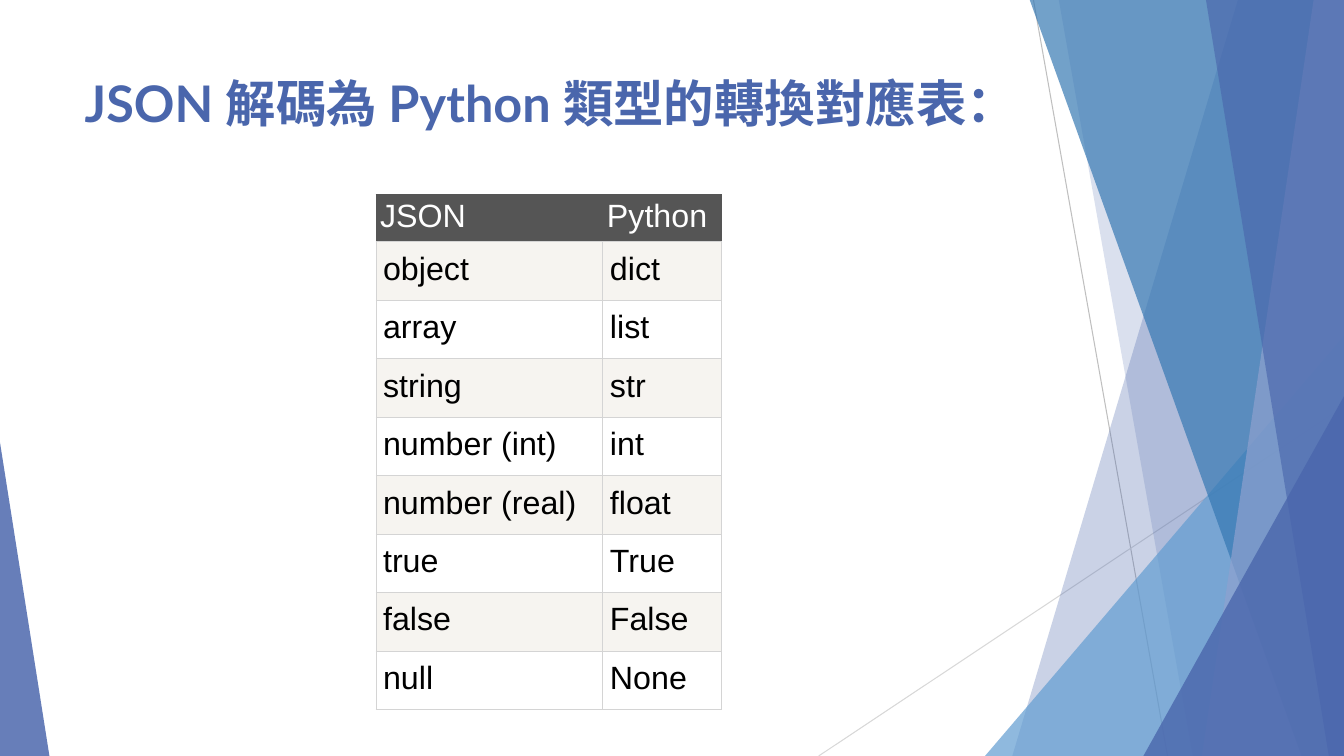
from dataclasses import dataclass

from lxml import etree
from pptx import Presentation
from pptx.dml.color import RGBColor
from pptx.enum.shapes import MSO_CONNECTOR, MSO_SHAPE
from pptx.enum.text import MSO_ANCHOR, MSO_AUTO_SIZE, PP_ALIGN
from pptx.oxml.ns import qn
from pptx.util import Pt

PX = 9144  # 100 px to the inch
WIDTH, HEIGHT = 1333, 750
TITLE_ONLY = 5
STRAIGHT = MSO_CONNECTOR.STRAIGHT
TRIANGLE = MSO_SHAPE.ISOSCELES_TRIANGLE
TOP, LEFT = MSO_ANCHOR.TOP, PP_ALIGN.LEFT
NO_AUTOFIT = MSO_AUTO_SIZE.NONE


@dataclass(frozen=True)
class Theme:
    indigo: str = "4A66AC"
    sky: str = "629DD1"
    ocean: str = "3477B2"
    lavender: str = "8FA1CF"
    ray_dark: str = "BFBFBF"
    ray_light: str = "D8D8D8"
    header: str = "555555"
    header_text: str = "FFFFFF"
    cell_text: str = "000000"
    bands: tuple = ("F6F4F0", "FFFFFF")
    grid: str = "D4D4D4"
    title_font: str = "Lato"
    table_font: str = "Arial"
    title_size: float = 36
    table_size: float = 23
    hairline: float = 0.75


THEME = Theme()

RAYS = [
    ((1025, 0), (1158, HEIGHT), THEME.ray_dark),
    ((WIDTH, 403), (812, HEIGHT), THEME.ray_light),
]
# Top-left x, bottom-left x, colour, opacity; each band runs to the right edge
BACK_BANDS = [(1228, 1004, THEME.indigo, 29), (1050, 1183, THEME.indigo, 20)]
FRONT_BANDS = [
    (1021, 1291, THEME.ocean, 69),
    (1303, 1192, THEME.lavender, 69),
    (1196, 1318, THEME.indigo, 64),
]
TYPE_PAIRS = [
    ("object", "dict"), ("array", "list"), ("string", "str"),
    ("number (int)", "int"), ("number (real)", "float"),
    ("true", "True"), ("false", "False"), ("null", "None"),
]


def set_opacity(fill_parent, percent):
    color = fill_parent.find(qn("a:solidFill"))[0]
    etree.SubElement(color, qn("a:alpha"), val=str(percent * 1000))


class SlideBuilder:
    def __init__(self, slide, theme):
        self.slide, self.theme = slide, theme

    def ray(self, start, end, color):
        ray = self.slide.shapes.add_connector(
            STRAIGHT, *(v * PX for v in (*start, *end)))
        ray.line.color.rgb = RGBColor.from_string(color)
        ray.line.width = Pt(self.theme.hairline)
        etree.SubElement(ray._element.spPr, qn("a:effectLst"))

    def tint(self, facet, color, opacity):
        facet.shadow.inherit = False
        facet.line.fill.background()
        facet.fill.solid()
        facet.fill.fore_color.rgb = RGBColor.from_string(color)
        set_opacity(facet._element.spPr, opacity)

    def band(self, top_x, bottom_x, color, opacity):
        outline = self.slide.shapes.build_freeform(top_x, -1, scale=PX)
        outline.add_line_segments(
            [(WIDTH, -1), (WIDTH, HEIGHT), (bottom_x, HEIGHT)], close=True)
        self.tint(outline.convert_to_shape(), color, opacity)

    def corner(self, x, y, width, apex, color, opacity):
        """Add a right triangle standing on the slide's bottom edge."""
        corner = self.slide.shapes.add_shape(
            TRIANGLE, x * PX, y * PX, width * PX, (HEIGHT - y) * PX)
        corner.adjustments[0] = apex
        self.tint(corner, color, opacity)

    def set_text(self, frame, text, font_name, size, color, bold=False):
        frame.text = text
        paragraph = frame.paragraphs[0]
        paragraph.alignment = LEFT
        font = paragraph.font
        font.name, font.size, font.bold = font_name, Pt(size), bold
        font.color.rgb = RGBColor.from_string(color)

    def title(self, text, x, y, width, height):
        title = self.slide.shapes.title
        title.left, title.top = x * PX, y * PX
        title.width, title.height = width * PX, height * PX
        frame = title.text_frame
        frame.word_wrap, frame.auto_size = True, NO_AUTOFIT
        frame.vertical_anchor = TOP
        self.set_text(frame, text, self.theme.title_font,
                      self.theme.title_size, self.theme.indigo, bold=True)

    def cell_borders(self, cell, side_color):
        properties = cell._tc.get_or_add_tcPr()
        for side in "LRTB":
            color = self.theme.grid if side == "B" else side_color
            line = etree.SubElement(properties, qn(f"a:ln{side}"),
                                    w=str(Pt(self.theme.hairline)))
            fill = etree.SubElement(line, qn("a:solidFill"))
            etree.SubElement(fill, qn("a:srgbClr"), val=color)

    def cell(self, cell, text, fill, color, border, inset_x, inset_y):
        self.set_text(cell.text_frame, text, self.theme.table_font,
                      self.theme.table_size, color)
        cell.vertical_anchor = TOP
        cell.margin_left = cell.margin_right = inset_x * PX
        cell.margin_top = cell.margin_bottom = inset_y * PX
        self.cell_borders(cell, border)
        cell.fill.solid()
        cell.fill.fore_color.rgb = RGBColor.from_string(fill)

    def type_table(self, x, y, columns, header_height, row_height, header, pairs):
        theme = self.theme
        table = self.slide.shapes.add_table(
            len(pairs) + 1, len(columns), x * PX, y * PX, sum(columns) * PX,
            (header_height + row_height * len(pairs)) * PX).table
        table.first_row = table.horz_banding = False
        for column, width in zip(table.columns, columns):
            column.width = width * PX
        for index, texts in enumerate([header, *pairs]):
            if index == 0:
                height = header_height
                style = (theme.header, theme.header_text, theme.header, 4, 4)
            else:
                height = row_height
                band = theme.bands[(index - 1) % 2]
                style = (band, theme.cell_text, theme.grid, 7, 9)
            table.rows[index].height = height * PX
            for column, text in enumerate(texts):
                self.cell(table.cell(index, column), text, *style)


def main():
    deck = Presentation()
    deck.slide_width, deck.slide_height = WIDTH * PX, HEIGHT * PX
    slide = deck.slides.add_slide(deck.slide_layouts[TITLE_ONLY])
    builder = SlideBuilder(slide, THEME)

    for ray in RAYS:
        builder.ray(*ray)
    for band in BACK_BANDS:
        builder.band(*band)
    builder.corner(977, 333, 356, 1, THEME.sky, 71)
    for band in FRONT_BANDS:
        builder.band(*band)
    builder.corner(1134, 393, 199, 1, THEME.indigo, 80)
    builder.corner(0, 439, 49, 0, THEME.indigo, 84)

    builder.title("JSON 解碼為 Python 類型的轉換對應表：", 74, 67, 940, 144)
    builder.type_table(373, 193, (225, 118), 47, 58,
                       ("JSON", "Python"), TYPE_PAIRS)
    deck.save("out.pptx")


if __name__ == "__main__":
    main()
